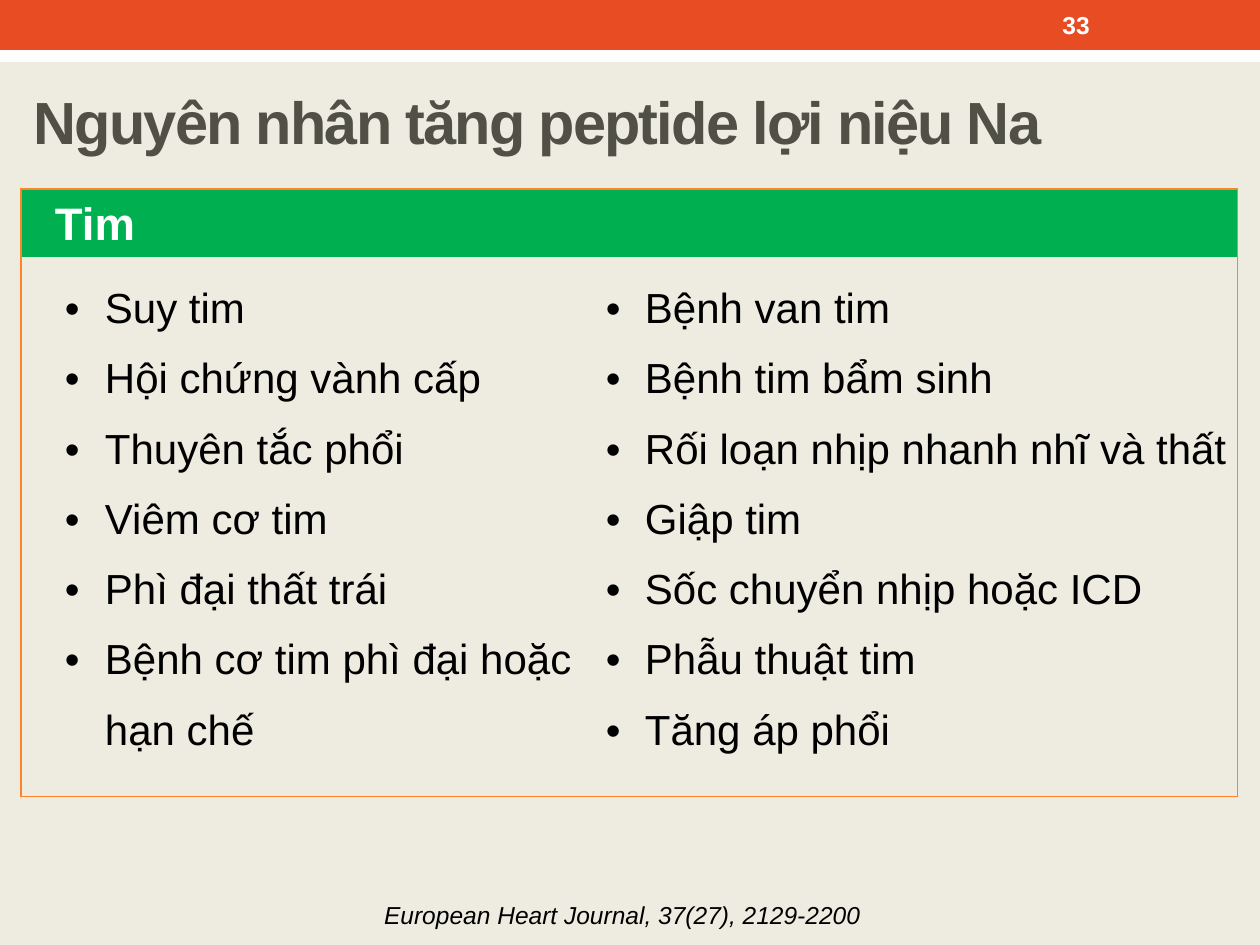
from dataclasses import dataclass

from lxml import etree
from pptx import Presentation
from pptx.dml.color import RGBColor
from pptx.enum.shapes import MSO_SHAPE
from pptx.enum.text import MSO_ANCHOR, MSO_AUTO_SIZE, PP_ALIGN
from pptx.oxml.ns import qn
from pptx.util import Pt

RECTANGLE = MSO_SHAPE.RECTANGLE
MIDDLE, TOP = MSO_ANCHOR.MIDDLE, MSO_ANCHOR.TOP
LEFT, CENTER, JUSTIFY = PP_ALIGN.LEFT, PP_ALIGN.CENTER, PP_ALIGN.JUSTIFY
PX = 914400 / 126
TITLE_ONLY = 5


@dataclass(frozen=True)
class Theme:
    font: str = "Arial"
    background: str = "EEECE1"
    band: str = "E84C22"
    white: str = "FFFFFF"
    title: str = "505046"
    text: str = "000000"
    header: str = "00B050"
    border: str = "FF8427"
    title_size: int = 34
    header_size: int = 26
    list_size: int = 24
    small_size: int = 14


THEME = Theme()
LEFT_CAUSES = [
    "Suy tim", "Hội chứng vành cấp", "Thuyên tắc phổi", "Viêm cơ tim",
    "Phì đại thất trái", "Bệnh cơ tim phì đại hoặc hạn chế",
]
RIGHT_CAUSES = [
    "Bệnh van tim", "Bệnh tim bẩm sinh", "Rối loạn nhịp nhanh nhĩ và thất",
    "Giập tim", "Sốc chuyển nhịp hoặc ICD", "Phẫu thuật tim", "Tăng áp phổi",
]


def px(*lengths):
    return [round(length * PX) for length in lengths]


def color(value):
    return RGBColor.from_string(value)


def write(paragraph, text, *, size, fill=THEME.text, bold=False, italic=False,
          align=LEFT, line_spacing=None, margin=0, indent=0, bullet=None,
          tracking=None):
    """Fill one paragraph; margin and indent are in px, tracking in points."""
    properties = paragraph._p.get_or_add_pPr()
    left, first = px(margin, indent)
    properties.set("marL", str(left))
    properties.set("indent", str(first))
    if bullet:
        etree.SubElement(properties, qn("a:buFont"), typeface=THEME.font)
        etree.SubElement(properties, qn("a:buChar"), char=bullet)
    paragraph.alignment = align
    if line_spacing:
        paragraph.line_spacing = line_spacing
    run = paragraph.add_run()
    run.text = text
    font = run.font
    font.name, font.size, font.bold, font.italic = THEME.font, Pt(size), bold, italic
    font.color.rgb = color(fill)
    if tracking:
        run._r.get_or_add_rPr().set("spc", str(tracking * 100))


def add_label(slide, box, text, anchor=TOP, **style):
    label = slide.shapes.add_textbox(*px(*box)).text_frame
    label.word_wrap = True
    label.vertical_anchor = anchor
    write(label.paragraphs[0], text, **style)
    return label


def add_bar(slide, box, fill):
    bar = slide.shapes.add_shape(RECTANGLE, *px(*box))
    bar.shadow.inherit = False
    bar.fill.solid()
    bar.fill.fore_color.rgb = color(fill)
    bar.line.fill.background()


def add_top_band(slide, box, number):
    x, y, width, height = box
    add_bar(slide, (x, y + 30, width, height - 30), THEME.white)
    add_bar(slide, (x, y, width, 50), THEME.band)
    add_label(slide, (x + 1050, y + 2, 147, 46), number, anchor=MIDDLE,
              size=THEME.small_size, fill=THEME.white, bold=True)


def add_title(slide, box, text):
    title = slide.shapes.title
    title.left, title.top, title.width, title.height = px(*box)
    frame = title.text_frame
    frame.auto_size = MSO_AUTO_SIZE.NONE
    frame.vertical_anchor = MIDDLE
    write(frame.paragraphs[0], text, size=THEME.title_size, fill=THEME.title,
          bold=True, tracking=-1)


def set_borders(cell, sides):
    """Draw the named sides (of L, R, T, B) and clear the others."""
    properties = cell._tc.get_or_add_tcPr()
    for position, side in enumerate("LRTB"):
        line = etree.Element(qn(f"a:ln{side}"), w=str(Pt(0.75)))
        if side in sides:
            solid = etree.SubElement(line, qn("a:solidFill"))
            etree.SubElement(solid, qn("a:srgbClr"), val=THEME.border)
        else:
            etree.SubElement(line, qn("a:noFill"))
        properties.insert(position, line)


def fill_causes(cell, causes, margin, indent):
    cell.fill.background()
    frame = cell.text_frame
    for index, cause in enumerate(causes):
        paragraph = frame.add_paragraph() if index else frame.paragraphs[0]
        write(paragraph, cause, size=THEME.list_size, line_spacing=1.5,
              margin=margin, indent=indent, bullet="•")


def add_causes_table(slide, box, heading):
    width, height = box[2:]
    header_height, left_width = 64, 556
    table = slide.shapes.add_table(2, 2, *px(*box)).table
    table.columns[0].width, table.columns[1].width = px(left_width, width - left_width)
    table.rows[0].height, table.rows[1].height = px(header_height, height - header_height)
    header, header_end = table.cell(0, 0), table.cell(0, 1)
    left, right = table.cell(1, 0), table.cell(1, 1)

    # Cell frames
    for cell, sides in ((header, "LTR"), (header_end, "TR"), (left, "LB"), (right, "RB")):
        (cell.margin_left, cell.margin_right,
         cell.margin_top, cell.margin_bottom) = px(5, 5, 5, 5)
        set_borders(cell, sides)

    # Heading across both columns
    header.merge(header_end)
    header.fill.solid()
    header.fill.fore_color.rgb = color(THEME.header)
    header.vertical_anchor = MIDDLE
    write(header.text_frame.paragraphs[0], heading, size=THEME.header_size,
          fill=THEME.white, bold=True, align=JUSTIFY, line_spacing=1.07, indent=29)

    # Two lists of causes
    fill_causes(left, LEFT_CAUSES, margin=79, indent=-40)
    fill_causes(right, RIGHT_CAUSES, margin=63, indent=-39)


def add_citation(slide, box, text):
    label = add_label(slide, box, text, size=THEME.small_size, italic=True,
                      align=CENTER, line_spacing=1.07)
    label.auto_size = MSO_AUTO_SIZE.SHAPE_TO_FIT_TEXT


def main():
    deck = Presentation()
    deck.slide_width, deck.slide_height = px(1260, 945)
    slide = deck.slides.add_slide(deck.slide_layouts[TITLE_ONLY])
    slide.background.fill.solid()
    slide.background.fill.fore_color.rgb = color(THEME.background)

    add_top_band(slide, (0, 0, 1260, 62), "33")
    add_title(slide, (21, 53, 1176, 136), "Nguyên nhân tăng peptide lợi niệu Na")
    add_causes_table(slide, (21, 189, 1217, 567), "Tim")
    add_citation(slide, (38, 892, 1169, 42), "European Heart Journal, 37(27), 2129-2200")
    deck.save("out.pptx")


if __name__ == "__main__":
    main()
